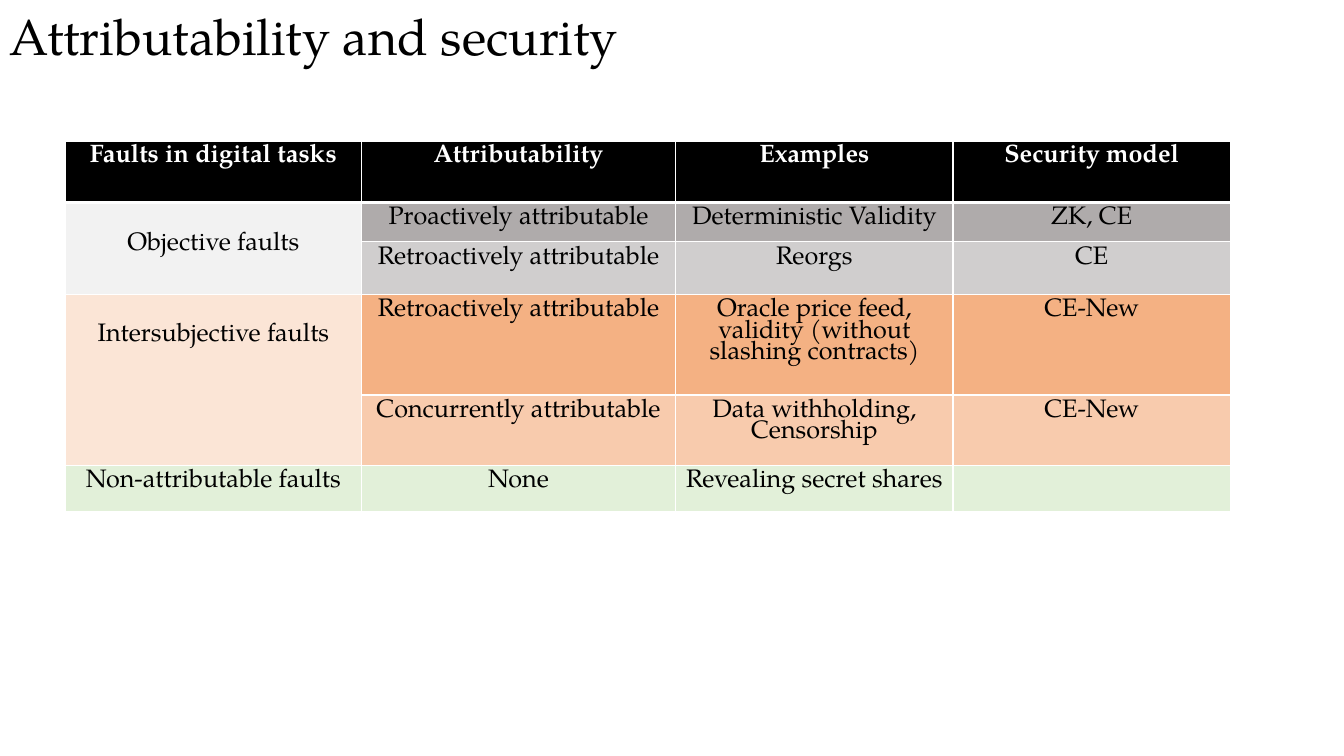
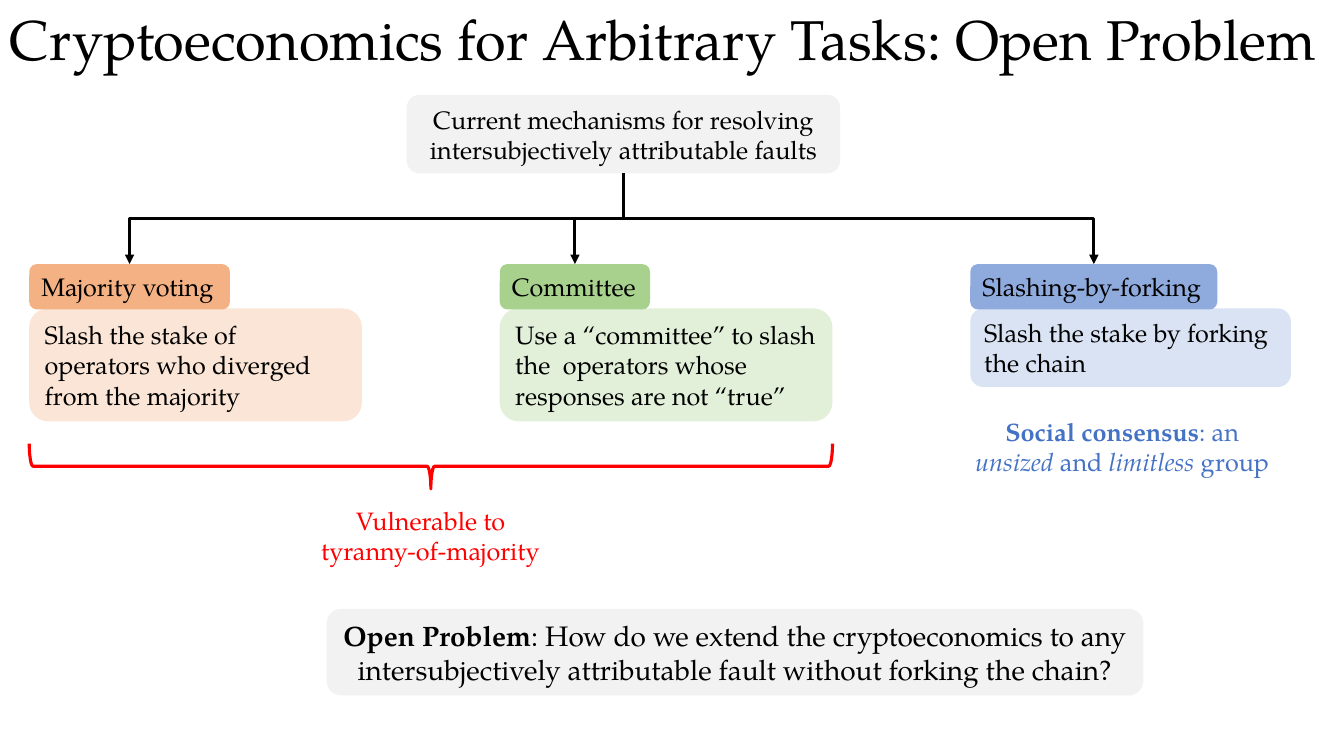
from lxml import etree
from pptx import Presentation
from pptx import util as u
from pptx.dml.color import RGBColor
from pptx.enum import shapes, text
from pptx.oxml.ns import qn

COLS, ROWS = 40, 22.5
FONT = "TeX Gyre Pagella"
BLACK, WHITE, GREY, RED, BLUE = "000000", "FFFFFF", "F2F2F2", "FF0000", "4472C4"
PEACH, MINT, SKY = "FBE5D6", "E2F0D9", "DAE3F3"
ORANGE, GREEN, DENIM = "F4B183", "A9D18E", "8FAADC"
LEFT, MID = text.PP_ALIGN.LEFT, text.PP_ALIGN.CENTER
TOP, CENTER = text.MSO_ANCHOR.TOP, text.MSO_ANCHOR.MIDDLE


def tint(code):
    return RGBColor.from_string(code)


class Deck:
    """Draws styled elements on a 40 by 22.5 grid of square cells."""

    def __init__(self):
        self.prs = Presentation()
        self.prs.slide_width, self.prs.slide_height = u.Inches(13.33), u.Inches(7.5)
        self.cell = self.prs.slide_height / ROWS

    def grid(self, *spans):
        return [round(span * self.cell) for span in spans]

    def page(self, title, size):
        self.slide = self.prs.slides.add_slide(self.prs.slide_layouts[6])
        self.label((0, 0, COLS, 2.2), [(title, "")], size=size, align=LEFT)

    def put(self, frame, runs, size=18, color=BLACK, align=MID):
        para = frame.paragraphs[0]
        para.alignment = align
        for words, style in runs:
            run = para.add_run()
            run.text = words
            font = run.font
            font.name, font.size = FONT, u.Pt(size)
            font.bold, font.italic = "b" in style, "i" in style
            font.color.rgb = tint(color)
        return para

    def label(self, area, runs, **look):
        frame = self.slide.shapes.add_textbox(*self.grid(*area)).text_frame
        frame.word_wrap = True
        self.put(frame, runs, **look)

    def box(self, area, fill, runs, wrap=True, **look):
        kind = shapes.MSO_SHAPE.ROUNDED_RECTANGLE
        shape = self.slide.shapes.add_shape(kind, *self.grid(*area))
        shape.shadow.inherit = False
        shape.fill.solid()
        shape.fill.fore_color.rgb = tint(fill)
        shape.line.fill.background()
        shape.text_frame.word_wrap = wrap
        shape.text_frame.vertical_anchor = CENTER
        self.put(shape.text_frame, runs, **look)

    def brace(self, x, y, wide, high, color):
        area = (x + (wide - high) / 2, y + (high - wide) / 2, high, wide)
        shape = self.slide.shapes.add_shape(
            shapes.MSO_SHAPE.LEFT_BRACE, *self.grid(*area))
        shape.rotation = 270
        shape.shadow.inherit = False
        shape.fill.background()
        shape.line.color.rgb = tint(color)
        shape.line.width = u.Pt(2.25)

    def branch(self, x1, y1, x2, y2):
        drop, span = y2 - y1, abs(x2 - x1)
        x, y = (x1 + x2 - drop) / 2, (y1 + y2 - span) / 2
        link = self.slide.shapes.add_connector(
            shapes.MSO_CONNECTOR.ELBOW, *self.grid(x, y, x + drop, y + span))
        link.line.color.rgb = tint(BLACK)
        link.line.width = u.Pt(2.25)
        props = link._element.spPr
        frame = props.find(qn("a:xfrm"))
        frame.set("rot", str((90 if x2 < x1 else 270) * 60000))
        if x2 > x1:
            frame.set("flipH", "1")
        etree.SubElement(props.find(qn("a:ln")), qn("a:tailEnd"), type="triangle")
        etree.SubElement(props, qn("a:effectLst"))

    def edge(self, cell, low):
        props = cell._tc.get_or_add_tcPr()
        widths = {"lnL": 1, "lnR": 1, "lnT": 1, "lnB": low}
        for spot, (side, width) in enumerate(widths.items()):
            line = etree.Element(qn("a:" + side), w=str(int(u.Pt(width))))
            fill = etree.SubElement(line, qn("a:solidFill"))
            etree.SubElement(fill, qn("a:srgbClr"), val=WHITE)
            props.insert(spot, line)

    def table(self, x, y, wides, highs, rows, fills, merges):
        area = self.grid(x, y, sum(wides), sum(highs))
        table = self.slide.shapes.add_table(len(highs), len(wides), *area).table
        for col, wide in zip(table.columns, self.grid(*wides)):
            col.width = wide
        for row, high in zip(table.rows, self.grid(*highs)):
            row.height = high
        for r, (words, tones) in enumerate(zip(rows, fills)):
            for c, word in enumerate(words):
                cell = table.cell(r, c)
                cell.fill.solid()
                cell.fill.fore_color.rgb = tint(tones[min(c, 1)])
                cell.margin_left = cell.margin_right = u.Inches(0.08)
                cell.vertical_anchor = TOP
                self.edge(cell, 1 if r else 3)
                if word:
                    color, style = (BLACK, "") if r else (WHITE, "b")
                    para = self.put(cell.text_frame, [(word, style)], color=color)
                    para.line_spacing = 0.85
        for r in merges:
            cell = table.cell(r, 0)
            cell.merge(table.cell(r + 1, 0))
            cell.margin_top = u.Inches(0.3)


def faults(deck):
    deck.page("Attributability and security", 36)
    rows = [
        ("Faults in digital tasks", "Attributability", "Examples", "Security model"),
        ("Objective faults", "Proactively attributable", "Deterministic Validity", "ZK, CE"),
        ("", "Retroactively attributable", "Reorgs", "CE"),
        ("Intersubjective faults", "Retroactively attributable",
         "Oracle price feed, validity (without slashing contracts)", "CE-New"),
        ("", "Concurrently attributable", "Data withholding, Censorship", "CE-New"),
        ("Non-attributable faults", "None", "Revealing secret shares", ""),
    ]
    fills = [(BLACK, BLACK), (GREY, "AFABAB"), (GREY, "D0CECE"),
             (PEACH, ORANGE), (PEACH, "F8CBAD"), (MINT, MINT)]
    deck.table(1.95, 4.2, (8.8, 9.36, 8.25, 8.25),
               (1.83, 1.17, 1.56, 3, 2.1, 1.38), rows, fills, (1, 3))


def problem(deck):
    deck.page("Cryptoeconomics for Arbitrary Tasks: Open Problem", 40)
    deck.box((12.1, 2.82, 12.9, 2.34), GREY, [
        ("Current mechanisms for resolving intersubjectively attributable faults", "")])
    left, pitch, top, tall = 0.87, 14, 7.86, 1.35
    paths = [
        ("Majority voting", 5.97, ORANGE, 9.9, 3.36, PEACH,
         "Slash the stake of operators who diverged from the majority"),
        ("Committee", 4.47, GREEN, 9.9, 3.36, MINT,
         "Use a “committee” to slash the  operators whose responses are not “true”"),
        ("Slashing-by-forking", 7.35, DENIM, 9.54, 2.34, SKY,
         "Slash the stake by forking the chain"),
    ]
    for i, (name, tab, dark, wide, high, pale, note) in enumerate(paths):
        x = left + i * pitch
        deck.box((x, top + 1.32, wide, high), pale, [(note, "")], align=LEFT)
        deck.box((x, top, tab, tall), dark, [(name, "")], wrap=False, align=LEFT)
        deck.branch(18.55, 5.16, x + tab / 2, top)
    deck.brace(left, 13.2, 23.9, tall, RED)
    deck.label((8.91, 14.88, 7.8, 2.12),
               [("Vulnerable to tyranny-of-majority", "")], color=RED)
    deck.label((28.44, 12.24, 9.9, 2.12), [
        ("Social consensus", "b"), (": an ", ""), ("unsized", "i"),
        (" and ", ""), ("limitless", "i"), (" group", "")], color=BLUE)
    deck.box((9.72, 18.12, 24.3, 2.58), GREY, [
        ("Open Problem", "b"),
        (": How do we extend the cryptoeconomics to any intersubjectively "
         "attributable fault without forking the chain?", "")], size=20)


def main():
    deck = Deck()
    faults(deck)
    problem(deck)
    deck.prs.save("out.pptx")


if __name__ == "__main__":
    main()
